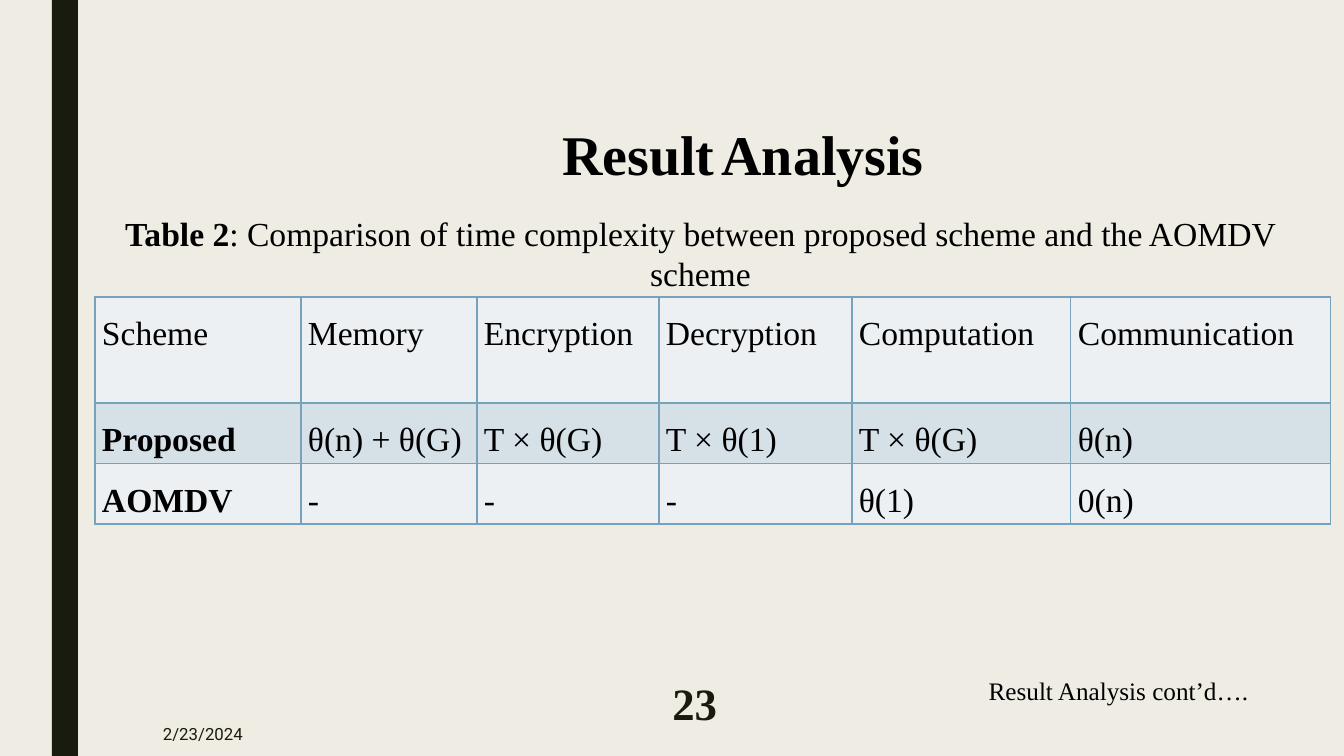
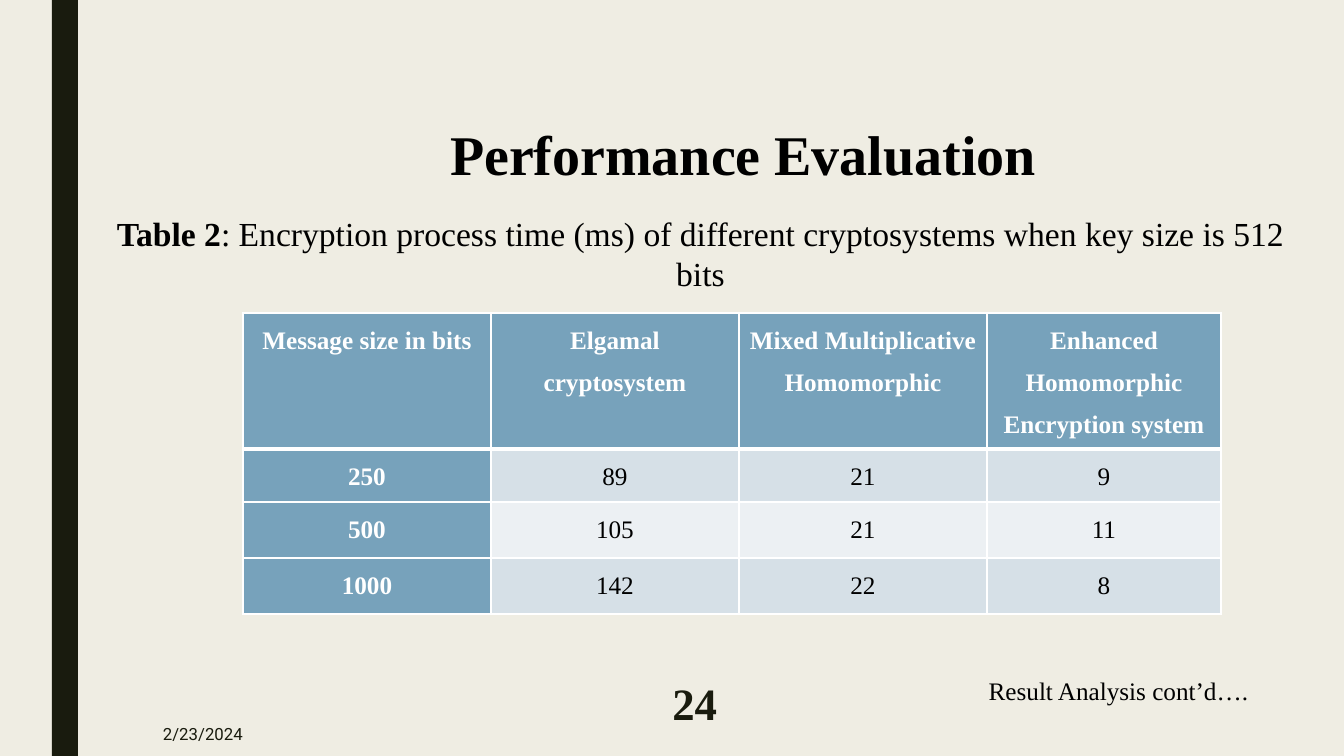
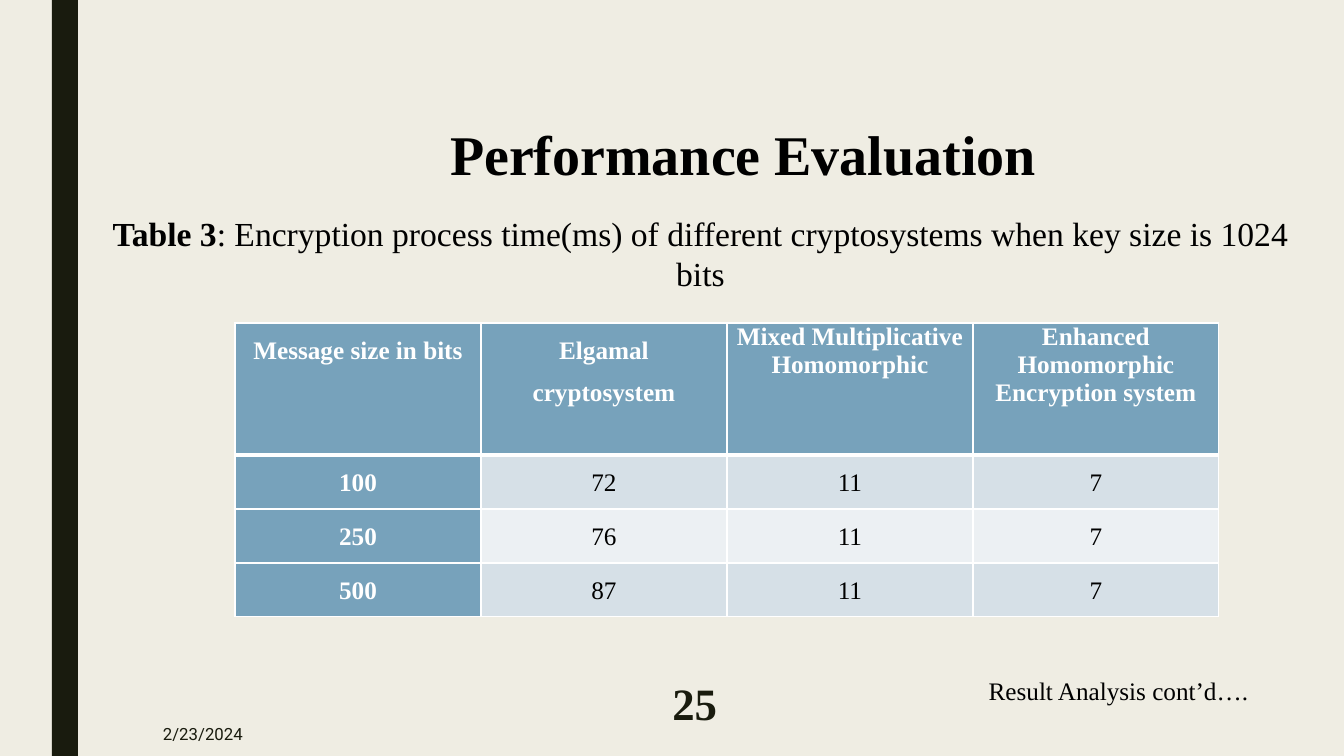
import pptx
import pptx.dml.color
import pptx.enum.shapes
import pptx.enum.text
import pptx.oxml.ns
import pptx.util
from lxml import etree

RGB = pptx.dml.color.RGBColor
ALIGN = pptx.enum.text.PP_ALIGN
ANCHOR = pptx.enum.text.MSO_ANCHOR

PX = 914400 / 100.8
SLIDE_SIZE = (1344, 756)
SERIF = "Times New Roman"
SANS = "Roboto"

CREAM = RGB(0xEF, 0xED, 0xE3)
DARK = RGB(0x19, 0x1B, 0x0E)
BLACK = RGB(0, 0, 0)
WHITE = RGB(255, 255, 255)
BLUE = RGB(0x77, 0xA2, 0xBB)
MIST = RGB(0xD6, 0xE0, 0xE7)
ICE = RGB(0xEC, 0xF0, 0xF3)

BAND = (52, 0, 26, 756)
TITLE = (327, 115, 832, 78)
CAPTION = (82, 207, 1237, 92)
DATE = (153, 712, 133, 44)
NUMBER = (551, 681, 176, 44)
FOOTER = (947, 670, 343, 40)

FIRST_NUMBER = 23
CRYPTOSYSTEMS = ["Message size in bits", "Elgamal cryptosystem",
                 "Mixed Multiplicative Homomorphic",
                 "Enhanced Homomorphic Encryption system"]

# A light table is pale all over with blue rules; any other has blue headers.
# Title parts are (text, size); tight lists the header columns set single-spaced.
SLIDES = [
    {"title": [("Result", 40), (" ", 20), ("Analysis", 40)],
     "label": "Table 2",
     "caption": ": Comparison of time complexity between proposed scheme "
                "and the AOMDV scheme",
     "light": True, "tight": (), "at": (95, 297),
     "columns": [206, 176, 182, 193, 219, 260], "rows": [106, 56, 58],
     "cells": [
         ["Scheme", "Memory", "Encryption", "Decryption", "Computation",
          "Communication"],
         ["Proposed", "θ(n) + θ(G)", "T × θ(G)", "T × θ(1)", "T × θ(G)", "θ(n)"],
         ["AOMDV", "-", "-", "-", "θ(1)", "0(n)"]]},
    {"title": [("Performance Evaluation", 40)],
     "label": "Table 2",
     "caption": ": Encryption process time (ms) of different cryptosystems "
                "when key size is 512 bits",
     "light": False, "tight": (), "at": (243, 313),
     "columns": [248, 248, 248, 234], "rows": [136, 53, 56, 56],
     "cells": [CRYPTOSYSTEMS,
               ["250", "89", "21", "9"],
               ["500", "105", "21", "11"],
               ["1000", "142", "22", "8"]]},
    {"title": [("Performance Evaluation", 40)],
     "label": "Table 3",
     "caption": ": Encryption process time(ms) of different cryptosystems "
                "when key size is 1024 bits",
     "light": False, "tight": (2, 3), "at": (235, 323),
     "columns": [246] * 4, "rows": [132] + [54] * 3,
     "cells": [CRYPTOSYSTEMS,
               ["100", "72", "11", "7"],
               ["250", "76", "11", "7"],
               ["500", "87", "11", "7"]]},
]


def px(value):
    return pptx.util.Emu(round(value * PX))


def add_span(para, text, size=18, color=BLACK, bold=False, font=SERIF):
    span = para.add_run()
    span.text = text
    span.font.name = font
    span.font.size = pptx.util.Pt(size)
    span.font.bold = bold
    span.font.color.rgb = color


def add_text(slide, place, spans, align=ALIGN.CENTER, anchor=ANCHOR.TOP, grow=False):
    """Add a text box; each span is a dict of add_span arguments."""
    box = slide.shapes.add_textbox(*map(px, place))
    frame = box.text_frame
    frame.word_wrap = True
    frame.vertical_anchor = anchor
    if grow:
        frame.auto_size = pptx.enum.text.MSO_AUTO_SIZE.SHAPE_TO_FIT_TEXT
    para = frame.paragraphs[0]
    para.alignment = align
    for span in spans:
        add_span(para, **span)


def add_border(cell, side, color, width):
    line = etree.SubElement(cell._tc.get_or_add_tcPr(),
                            pptx.oxml.ns.qn("a:ln" + side),
                            w=str(pptx.util.Pt(width)))
    fill = etree.SubElement(line, pptx.oxml.ns.qn("a:solidFill"))
    etree.SubElement(fill, pptx.oxml.ns.qn("a:srgbClr"), val=str(color))


def format_cell(cell, text, row, column, light, tight):
    head = row == 0
    blue = not light and (head or column == 0)
    cell.margin_left = cell.margin_right = px(7)
    cell.margin_top = cell.margin_bottom = 0
    for side in "LRTB":
        under_head = (row, side) in ((0, "B"), (1, "T"))
        add_border(cell, side, BLUE if light else WHITE,
                   3 if under_head and not light else 1)
    cell.fill.solid()
    stripe = MIST if row % 2 else ICE
    cell.fill.fore_color.rgb = BLUE if blue else stripe
    para = cell.text_frame.paragraphs[0]
    para.alignment = ALIGN.JUSTIFY if light else ALIGN.CENTER
    para.line_spacing = 1.0 if head and column in tight else 1.5
    para.space_after = pptx.util.Pt(8)
    add_span(para, text, size=24 if light else 18,
             color=WHITE if blue else BLACK,
             bold=blue or (column == 0 and not head))


def add_data_table(slide, content):
    columns, rows = content["columns"], content["rows"]
    place = (*content["at"], sum(columns), sum(rows))
    table = slide.shapes.add_table(len(rows), len(columns), *map(px, place)).table
    table.first_row = table.horz_banding = False
    for column, width in zip(table.columns, columns):
        column.width = px(width)
    for row, height in zip(table.rows, rows):
        row.height = px(height)
    for row, texts in enumerate(content["cells"]):
        for column, text in enumerate(texts):
            format_cell(table.cell(row, column), text, row, column,
                        content["light"], content["tight"])


def add_frame(slide, number):
    """Add the parts every slide shares: side band, date, number and footer."""
    band = slide.shapes.add_shape(pptx.enum.shapes.MSO_SHAPE.RECTANGLE, *map(px, BAND))
    band.shadow.inherit = False
    band.fill.solid()
    band.fill.fore_color.rgb = DARK
    band.line.fill.background()
    add_text(slide, DATE, [dict(text="2/23/2024", size=12, color=DARK, font=SANS)],
             align=ALIGN.LEFT, anchor=ANCHOR.MIDDLE)
    add_text(slide, NUMBER, [dict(text=str(number), size=32, color=DARK, bold=True)],
             align=ALIGN.RIGHT, anchor=ANCHOR.MIDDLE)
    add_text(slide, FOOTER, [dict(text="Result Analysis cont’d….")], grow=True)


def main():
    deck = pptx.Presentation()
    deck.slide_width, deck.slide_height = map(px, SLIDE_SIZE)
    background = deck.slide_master.background.fill
    background.solid()
    background.fore_color.rgb = CREAM
    for number, content in enumerate(SLIDES, FIRST_NUMBER):
        slide = deck.slides.add_slide(deck.slide_layouts[6])
        add_frame(slide, number)
        add_text(slide, TITLE, [dict(text=text, size=size, bold=True)
                                for text, size in content["title"]], grow=True)
        add_text(slide, CAPTION, [dict(text=content["label"], size=24, bold=True),
                                  dict(text=content["caption"], size=24)],
                 anchor=ANCHOR.MIDDLE, grow=True)
        add_data_table(slide, content)
    deck.save("out.pptx")


if __name__ == "__main__":
    main()
